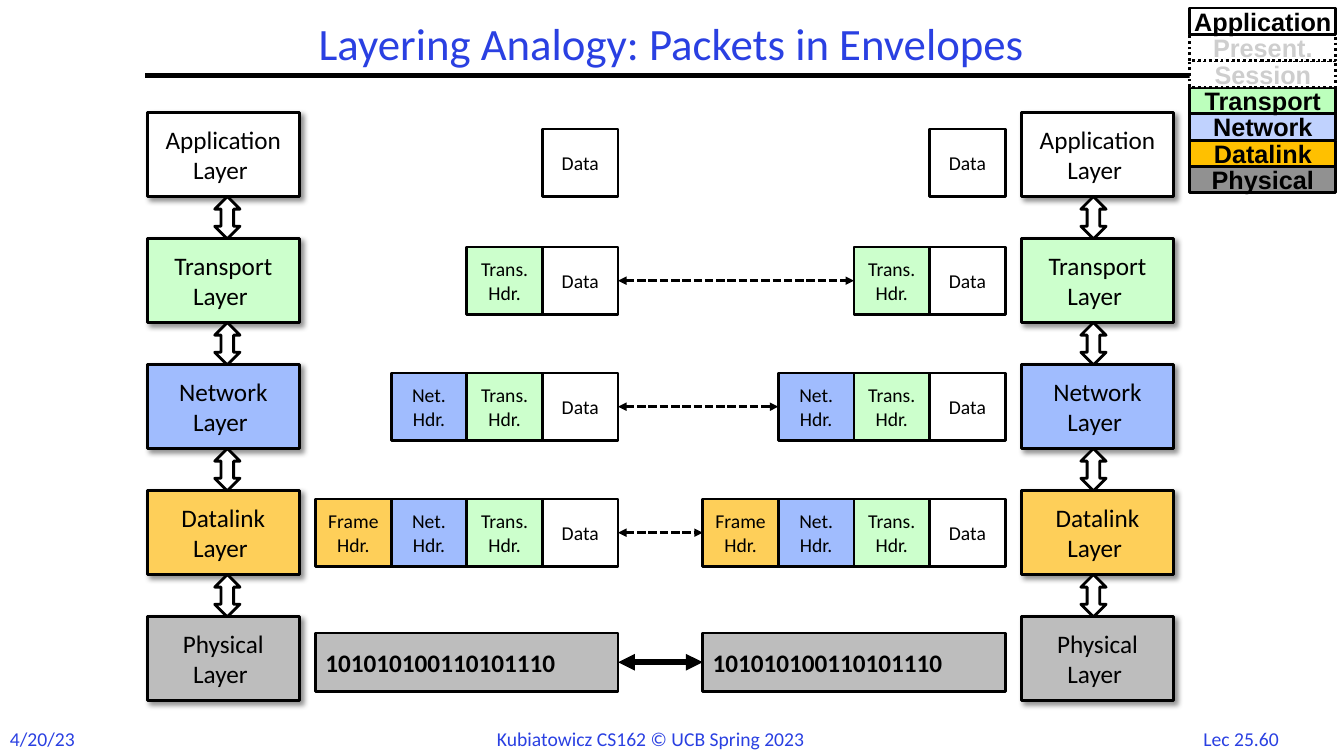
from lxml import etree
from pptx import Presentation
from pptx.dml.color import RGBColor
from pptx.enum.dml import MSO_LINE
from pptx.enum.shapes import MSO_CONNECTOR, MSO_SHAPE
from pptx.enum.text import MSO_ANCHOR, PP_ALIGN
from pptx.oxml import parse_xml
from pptx.oxml.ns import nsdecls, qn
from pptx.util import Inches, Pt

RECT, ARROW = MSO_SHAPE.RECTANGLE, MSO_SHAPE.UP_DOWN_ARROW
DASH, DOT = MSO_LINE.SQUARE_DOT, MSO_LINE.ROUND_DOT
LEFT, MID = PP_ALIGN.LEFT, PP_ALIGN.CENTER
STRAIGHT = MSO_CONNECTOR.STRAIGHT
CENTER = MSO_ANCHOR.MIDDLE
BLACK, WHITE, BLUE = "000000", "FFFFFF", "2A40E2"
GREEN, SKY, GOLD, GRAY = "CCFFCC", "A0BCFE", "FECF59", "BDBDBD"
SHADE = (
    f'<a:outerShdw {nsdecls("a")} blurRad="50800" dist="38100" dir="2700000" '
    'algn="tl" rotWithShape="0"><a:srgbClr val="000000">'
    '<a:alpha val="43000"/></a:srgbClr></a:outerShdw>'
)
hue = RGBColor.from_string

deck = Presentation()
deck.slide_width, deck.slide_height = Inches(13.33), Inches(7.5)
slide = deck.slides.add_slide(deck.slide_layouts[5])
shapes = slide.shapes


def write(frame, text, size, color=BLACK, align=MID, bold=False, font="Calibri"):
    frame.text = text
    for para in frame.paragraphs:
        para.alignment = align
        para.font.name, para.font.size, para.font.bold = font, Pt(size), bold
        para.font.color.rgb = hue(color)


def box(kind, place, fill):
    shape = shapes.add_shape(kind, *map(Inches, place))
    shape.shadow.inherit = False
    shape.fill.solid()
    shape.fill.fore_color.rgb = hue(fill)
    shape.line.color.rgb = hue(BLACK)
    shape.line.width = Pt(2)
    shape.text_frame.vertical_anchor = CENTER
    return shape


title = shapes.title
title.left, title.top, title.width, title.height = map(Inches, (1.44, 0.17, 10.44, 0.58))
write(title.text_frame, "Layering Analogy: Packets in Envelopes", 32, BLUE)
title.text_frame.vertical_anchor = CENTER
title.text_frame.paragraphs[0].line_spacing = 0.9

for text, x, wide, align in (
    ("4/20/23", 0, 0.85, LEFT),
    ("Kubiatowicz CS162 © UCB Spring 2023", 4.83, 3.68, LEFT),
    ("Lec 25.60", 11.77, 1.08, MID),
):
    foot = shapes.add_textbox(*map(Inches, (x, 7.16, wide, 0.34)))
    write(foot.text_frame, text, 14, BLUE, align)
    foot.text_frame.word_wrap = False

TOP, STEP, HIGH = 1.12, 1.25, 0.83
CELL, TALL = 0.75, 0.67
layers = (
    ("Application", WHITE),
    ("Transport", GREEN),
    ("Network", SKY),
    ("Datalink", GOLD),
    ("Physical", GRAY),
)
parts = (
    ("Data", WHITE),
    ("Trans.\nHdr.", GREEN),
    ("Net.\nHdr.", SKY),
    ("Frame\nHdr.", GOLD),
)
sides = ((1.46, 2.13, 6.13), (10.13, 10.72, 9.97))
wires = [(None, None, 3, None)]

for row, (name, fill) in enumerate(layers):
    y = TOP + row * STEP
    ends = []
    for x, mark, edge in sides:
        layer = box(RECT, (x, y, 1.51, HIGH), fill)
        write(layer.text_frame, f"{name} Layer ", 18)
        layer.element.spPr.find(qn("a:effectLst")).append(parse_xml(SHADE))
        if row < len(parts):
            box(ARROW, (mark, y + HIGH, 0.25, STEP - HIGH), WHITE)
            drop = 0.08 if row else 0.16
            cells = []
            for col, (text, tint) in enumerate(parts[:row + 1], 1):
                cell = box(RECT, (edge - col * CELL, y + drop, CELL, TALL), tint)
                cell.text_frame.margin_left = cell.text_frame.margin_right = 0
                write(cell.text_frame, text, 14)
                cells.append(cell)
            ends.append(cells)
        else:
            bits = box(RECT, (edge - 4 * CELL, y + 0.16, 4 * CELL, 0.58), fill)
            write(bits.text_frame, "101010100110101110", 18, align=LEFT, bold=True)
            ends.append([bits])
    if row:
        last = row == len(parts)
        wires.append((ends[0][0], ends[1][-1], 4 if last else 2, None if last else DASH))

for start, end, wide, dash in wires:
    wire = shapes.add_connector(STRAIGHT, *map(Inches, (1.44, 0.75, 11.89, 0.75)))
    wire.line.color.rgb = hue(BLACK)
    wire.line.width = Pt(wide)
    if dash:
        wire.line.dash_style = dash
    if start:
        wire.begin_connect(start, 3)
        wire.end_connect(end, 1)
        for tip in ("a:headEnd", "a:tailEnd"):
            etree.SubElement(wire.line._ln, qn(tip), type="triangle")
    etree.SubElement(wire.element.spPr, qn("a:effectLst"))

stack = (
    ("Application", WHITE, BLACK),
    ("Present.", WHITE, "CECECE"),
    ("Session", WHITE, "CECECE"),
    ("Transport", "BCFFBC", BLACK),
    ("Network", "C0D2FE", BLACK),
    ("Datalink", "FFC000", BLACK),
    ("Physical", "919191", BLACK),
)
for row, (name, fill, ink) in reversed(list(enumerate(stack))):
    item = box(RECT, (11.8, 0.08 + row * 0.262, 1.45, 0.262), fill)
    write(item.text_frame, name, 18, ink, bold=True, font="Arial")
    item.text_frame.word_wrap = False
    if ink != BLACK:
        item.line.dash_style = DOT

deck.save("out.pptx")
